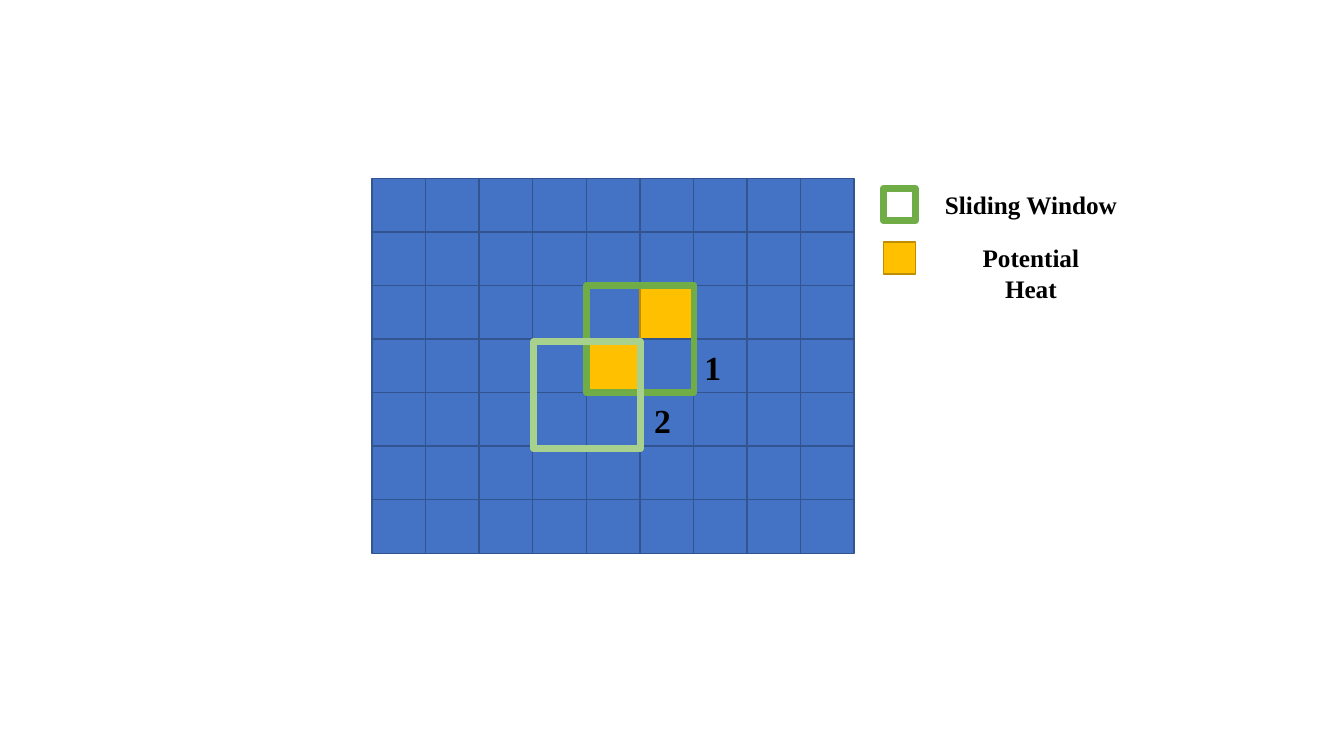
"""Build a slide showing a sliding window over a grid with potential heat cells."""
from itertools import product

from pptx import Presentation
from pptx.dml.color import RGBColor
from pptx.enum import shapes, text
from pptx.util import Inches, Pt

BLUE, BLUE_EDGE = "4472C4", "325491"
GOLD, GOLD_EDGE = "FFC000", "BD8E00"
GREEN, LIGHT_GREEN, BLACK = "70AD47", "A9D18E", "000000"
FONT = "Times New Roman"

ROWS, COLUMNS = 7, 9
GRID_LEFT, GRID_TOP = 3.69, 1.77
CELL = 4.25 / 8
HEAT_CELLS = {(2, 5), (3, 4)}
WINDOWS = [
    (5.82, 2.83, GREEN),
    (5.29, 3.39, LIGHT_GREEN),
]
KEY_LEFT, KEY_SIZE = 8.76, 0.32
KEYS = [
    (1.87, None, GREEN, 4.75),
    (2.4, GOLD, GOLD_EDGE, 1),
]
LABELS = [
    ("Sliding Window", 9.27, 1.83, 1.91, 0.4, 18, False),
    ("Potential Heat", 9.36, 2.36, 1.73, 0.4, 18, False),
    ("1", 6.88, 3.39, 0.38, 0.5, 24, True),
    ("2", 6.38, 3.92, 0.38, 0.5, 24, True),
]


def color(value):
    return RGBColor.from_string(value)


def add_square(slide, left, top, size, fill, edge, weight):
    square = slide.shapes.add_shape(
        shapes.MSO_SHAPE.RECTANGLE, Inches(left), Inches(top), Inches(size), Inches(size)
    )
    square.shadow.inherit = False
    if fill:
        square.fill.solid()
        square.fill.fore_color.rgb = color(fill)
    else:
        square.fill.background()
    square.line.color.rgb = color(edge)
    square.line.width = Pt(weight)


def add_label(slide, wording, left, top, width, height, size, wrap):
    label = slide.shapes.add_textbox(Inches(left), Inches(top), Inches(width), Inches(height))
    frame = label.text_frame
    frame.word_wrap = wrap
    frame.auto_size = text.MSO_AUTO_SIZE.SHAPE_TO_FIT_TEXT
    paragraph = frame.paragraphs[0]
    paragraph.alignment = text.PP_ALIGN.CENTER
    run = paragraph.add_run()
    run.text = wording
    run.font.name = FONT
    run.font.size = Pt(size)
    run.font.bold = True
    run.font.color.rgb = color(BLACK)


def main():
    deck = Presentation()
    deck.slide_width, deck.slide_height = Inches(13.33), Inches(7.5)
    slide = deck.slides.add_slide(deck.slide_layouts[6])

    for row, column in product(range(ROWS), range(COLUMNS)):
        fill, edge = (GOLD, GOLD_EDGE) if (row, column) in HEAT_CELLS else (BLUE, BLUE_EDGE)
        left, top = GRID_LEFT + column * CELL, GRID_TOP + row * CELL
        add_square(slide, left, top, CELL, fill, edge, 1)
    for left, top, edge in WINDOWS:
        add_square(slide, left, top, 2 * CELL, None, edge, 4.75)
    for top, fill, edge, weight in KEYS:
        add_square(slide, KEY_LEFT, top, KEY_SIZE, fill, edge, weight)
    for label in LABELS:
        add_label(slide, *label)

    deck.save("out.pptx")


if __name__ == "__main__":
    main()
